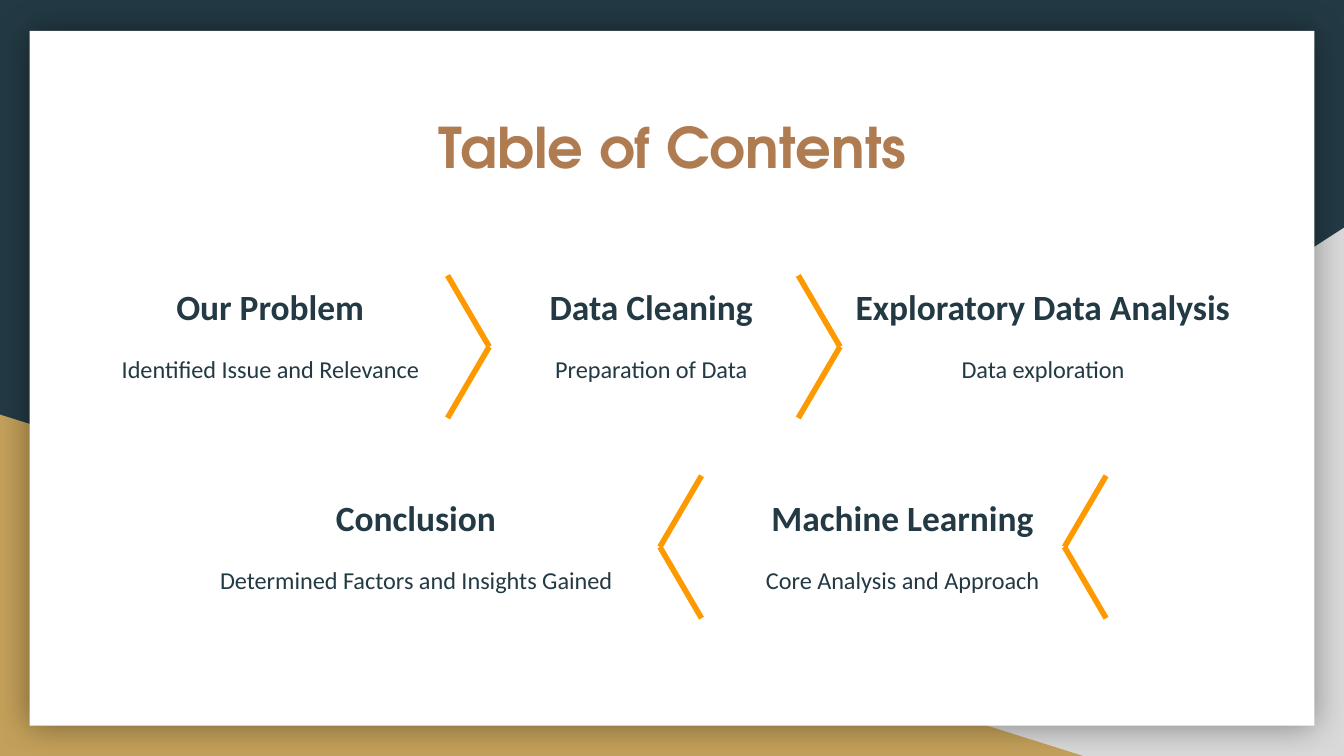
from lxml import etree
from pptx import Presentation
from pptx.dml.color import RGBColor
from pptx.enum import shapes, text
from pptx.oxml.ns import qn
from pptx.util import Inches, Pt

COLORS = {
    "navy": "233A44", "gray": "D9D9D9", "gold": "C4A15A",
    "white": "FFFFFF", "title": "AF7B51", "arrow": "FF9900", "shadow": "000000",
}
TITLE_FONT, BODY_FONT = "TeX Gyre Adventor", "Calibri"

# Left, top, width, heading, detail
TOPICS = [
    (0.74, 1.97, 2.54, "Our Problem", "Identified Issue and Relevance"),
    (3.64, 1.97, 2.41, "Data Cleaning", "Preparation of Data"),
    (6.26, 1.97, 3.00, "Exploratory Data Analysis", "Data exploration"),
    (5.51, 3.54, 2.41, "Machine Learning", "Core Analysis and Approach"),
    (1.46, 3.54, 3.27, "Conclusion", "Determined Factors and Insights Gained"),
]
TOPIC_H = 1.21

# Left, top, points right
CHEVRONS = [(3.33, 2.05, True), (5.94, 2.05, True),
            (4.91, 3.54, False), (7.92, 3.54, False)]
CHEVRON_W, CHEVRON_H = 0.31, 1.06


def rgb(name):
    return RGBColor.from_string(COLORS[name])


def add_block(s, kind, box, color):
    sp = s.shapes.add_shape(kind, *map(Inches, box))
    sp.shadow.inherit = False
    sp.fill.solid()
    sp.fill.fore_color.rgb = rgb(color)
    sp.line.fill.background()
    return sp


def add_soft_shadow(sp):
    effects = sp._element.spPr.find(qn("a:effectLst"))
    shadow = etree.SubElement(effects, qn("a:outerShdw"), blurRad=str(Pt(18)),
                              dist="0", dir="0", algn="ctr", rotWithShape="0")
    color = etree.SubElement(shadow, qn("a:srgbClr"), val=COLORS["shadow"])
    etree.SubElement(color, qn("a:alpha"), val="40000")


def add_backdrop(s, w, h):
    s.background.fill.solid()
    s.background.fill.fore_color.rgb = rgb("navy")
    triangle = shapes.MSO_SHAPE.RIGHT_TRIANGLE
    right = add_block(s, triangle, (w - 6.08, h - 3.93, 6.08, 3.93), "gray")
    right._element.spPr.find(qn("a:xfrm")).set("flipH", "1")
    add_block(s, triangle, (0, h - 2.54, 8.06, 2.54), "gold")
    card = add_block(s, shapes.MSO_SHAPE.RECTANGLE, (0.22, 0.23, 9.56, 5.17), "white")
    add_soft_shadow(card)


def add_text_frame(s, box):
    tf = s.shapes.add_textbox(*map(Inches, box)).text_frame
    tf.word_wrap = True
    tf.vertical_anchor = text.MSO_ANCHOR.TOP
    tf.margin_left = tf.margin_right = Inches(0.1)
    tf.margin_top = tf.margin_bottom = Inches(0.1)
    return tf


def add_run(p, words, size, font, color, bold):
    p.alignment = text.PP_ALIGN.CENTER
    r = p.add_run()
    r.text = words
    r.font.size = Pt(size)
    r.font.name = font
    r.font.bold = bold
    r.font.color.rgb = rgb(color)


def add_title(s, box, words):
    tf = add_text_frame(s, box)
    add_run(tf.paragraphs[0], words, 30, TITLE_FONT, "title", True)


def add_topic(s, box, heading, detail):
    tf = add_text_frame(s, box)
    p = tf.paragraphs[0]
    p.line_spacing = 1.15
    add_run(p, heading, 19, BODY_FONT, "navy", True)
    p = tf.add_paragraph()
    p.line_spacing = 1.15
    p.space_before = p.space_after = Pt(12)
    add_run(p, detail, 13, BODY_FONT, "navy", False)


def add_chevron(s, box, points_right):
    x, y, w, h = box
    tail, tip = (x, x + w) if points_right else (x + w, x)
    corners = [(tail, y), (tip, y + h / 2), (tail, y + h)]
    group = s.shapes.add_group_shape()
    for start, end in zip(corners, corners[1:]):
        line = group.shapes.add_connector(shapes.MSO_CONNECTOR.STRAIGHT,
                                          *map(Inches, start + end))
        line.line.color.rgb = rgb("arrow")
        line.line.width = Pt(3)
        etree.SubElement(line._element.spPr, qn("a:effectLst"))


def main():
    w = 10
    h = w * 9 / 16
    prs = Presentation()
    prs.slide_width, prs.slide_height = Inches(w), Inches(h)
    s = prs.slides.add_slide(prs.slide_layouts[6])

    add_backdrop(s, w, h)
    add_title(s, (0.9, 0.74, 8.21, 1.04), "Table of Contents")
    for x, y, width, heading, detail in TOPICS:
        add_topic(s, (x, y, width, TOPIC_H), heading, detail)
    for x, y, points_right in CHEVRONS:
        add_chevron(s, (x, y, CHEVRON_W, CHEVRON_H), points_right)

    prs.save("out.pptx")


if __name__ == "__main__":
    main()
